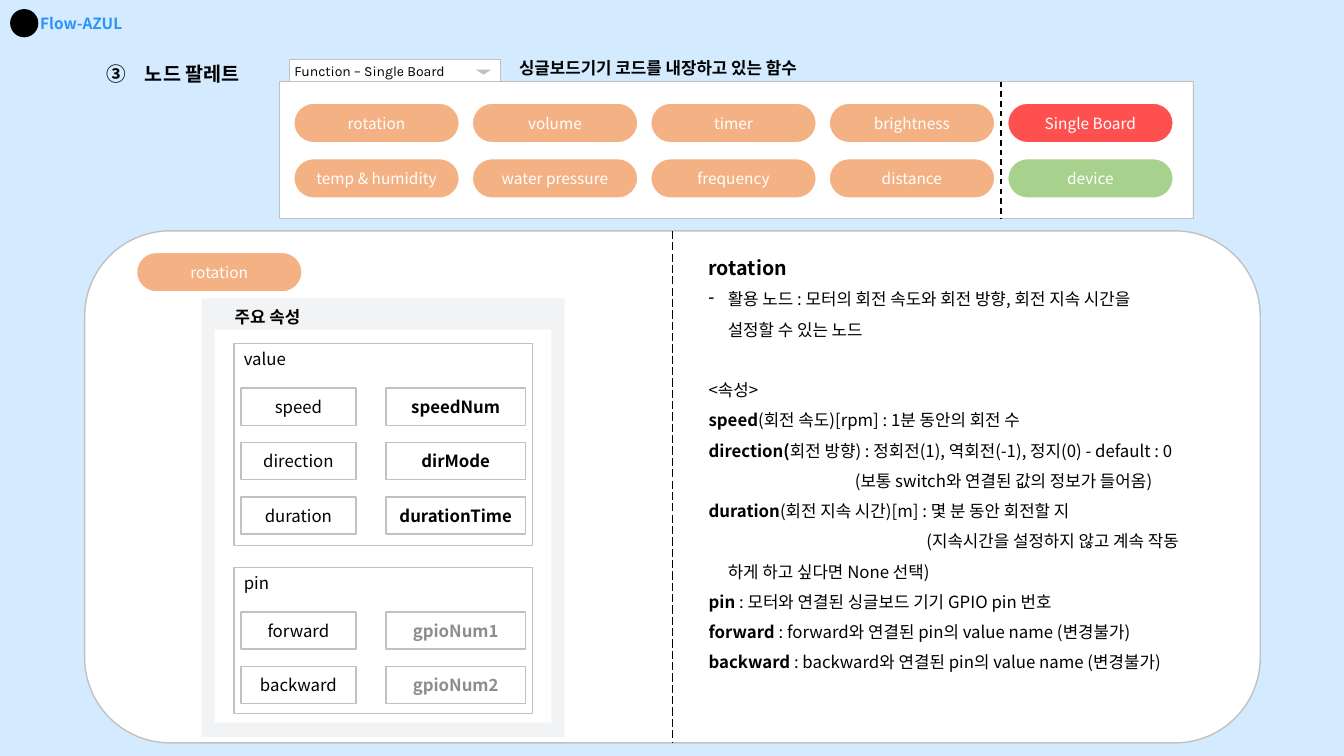
from lxml import etree
from pptx import Presentation
from pptx.dml.color import RGBColor
from pptx.enum.dml import MSO_LINE as Dash
from pptx.enum.shapes import MSO_CONNECTOR as Link, MSO_SHAPE as Kind
from pptx.enum.text import MSO_ANCHOR as Anchor, PP_ALIGN as Align
from pptx.oxml.ns import qn
from pptx.util import Inches, Pt

SKY = RGBColor(0xD4, 0xEA, 0xFE)
BLUE = RGBColor(0x29, 0x94, 0xF8)
BLACK = RGBColor(0, 0, 0)
WHITE = RGBColor(0xFF, 0xFF, 0xFF)
EDGE = RGBColor(0xC1, 0xC1, 0xC1)
ARROW = RGBColor(0xBF, 0xBF, 0xBF)
PALE = RGBColor(0xF1, 0xF3, 0xF4)
GRAY = RGBColor(0x8F, 0x8C, 0x8A)
ORANGE = RGBColor(0xF4, 0xB1, 0x83)
RED = RGBColor(0xFF, 0x50, 0x50)
GREEN = RGBColor(0xA9, 0xD1, 0x8E)
SANS = "Noto Sans CJK KR"

PILLS = [
    ("rotation", "temp & humidity", ORANGE, ORANGE),
    ("volume", "water pressure", ORANGE, ORANGE),
    ("timer", "frequency", ORANGE, ORANGE),
    ("brightness", "distance", ORANGE, ORANGE),
    ("Single Board", "device", RED, GREEN),
]
VALUES = [("speed", "speedNum"), ("direction", "dirMode"),
          ("duration", "durationTime")]
PINS = [("forward", "gpioNum1"), ("backward", "gpioNum2")]

# bold lead, plain text, left margin, first-line indent, space before
NOTES = [
    ("", "활용 노드 : 모터의 회전 속도와 회전 방향, 회전 지속 시간을\v"
         "설정할 수 있는 노드", 0.19, -0.19, 0),
    ("", "<속성>", 0, 0, 21.6),
    ("speed", "(회전 속도)[rpm] : 1분 동안의 회전 수", 0, 0, 0),
    ("direction(", "회전 방향) : 정회전(1), 역회전(-1), 정지(0) - default : 0",
     0, 0, 0),
    ("", "(보통 switch와 연결된 값의 정보가 들어옴)", 1.45, 0, 0),
    ("duration", "(회전 지속 시간)[m] : 몇 분 동안 회전할 지", 0, 0, 0),
    ("", "(지속시간을 설정하지 않고 계속 작동\v하게 하고 싶다면 None 선택)",
     0.19, 1.97, 0),
    ("pin ", ": 모터와 연결된 싱글보드 기기 GPIO pin 번호", 0, 0, 0),
    ("forward ", ": forward와 연결된 pin의 value name (변경불가)", 0, 0, 0),
    ("backward", " : backward와 연결된 pin의 value name (변경불가)", 0, 0, 0),
]


def style(para, size, color=BLACK, bold=False, face=SANS):
    font = para.font
    font.size, font.bold, font.name = Pt(size), bold, face
    font.color.rgb = color
    props = para._p.pPr.find(qn("a:defRPr"))
    etree.SubElement(props, qn("a:ea")).set("typeface", face)


def indent(para, left, first):
    props = para._p.get_or_add_pPr()
    props.set("marL", str(Inches(left)))
    props.set("indent", str(Inches(first)))


def bullet(para, tag, **attrs):
    mark = etree.SubElement(para._p.get_or_add_pPr(), qn(tag))
    for key, val in attrs.items():
        mark.set(key, val)


def shape(slide, kind, box, fill, edge=None, width=1):
    item = slide.shapes.add_shape(kind, *map(Inches, box))
    item.shadow.inherit = False
    item.fill.solid()
    item.fill.fore_color.rgb = fill
    if edge is None:
        item.line.fill.background()
    else:
        item.line.color.rgb = edge
        item.line.width = Pt(width)
    return item


def write(item, text, size, align=Align.CENTER, anchor=Anchor.MIDDLE, **look):
    item.text_frame.vertical_anchor = anchor
    para = item.text_frame.paragraphs[0]
    para.text, para.alignment = text, align
    style(para, size, **look)


def label(slide, box, text, size, color=BLACK):
    """Add a bold one-line text box and return its paragraph."""
    item = slide.shapes.add_textbox(*map(Inches, box))
    write(item, text, size, Align.LEFT, Anchor.TOP, color=color, bold=True)
    return item.text_frame.paragraphs[0]


def rule(slide, x, top, end, width, dash):
    """Draw a vertical dashed line."""
    line = slide.shapes.add_connector(
        Link.STRAIGHT, Inches(x), Inches(top), Inches(x), Inches(end))
    line.line.color.rgb, line.line.width = BLACK, Pt(width)
    line.line.dash_style = dash
    etree.SubElement(line._element.spPr, qn("a:effectLst"))


def pill(slide, x, y, text, fill):
    item = shape(slide, Kind.ROUNDED_RECTANGLE, (x, y, 1.65, 0.4),
                 fill, WHITE, 1.5)
    item.adjustments[0] = 0.5
    write(item, text, 11, color=WHITE)


def header(slide, x, y):
    shape(slide, Kind.OVAL, (x, y, 0.28, 0.28), BLACK)
    label(slide, (x + 0.2, y, 1.3, 0.29), "Flow-AZUL", 11, BLUE)
    box = slide.shapes.add_textbox(
        *map(Inches, (x + 0.86, y + 0.48, 1.7, 0.34)))
    para = box.text_frame.paragraphs[0]
    para.text = "노드 팔레트"
    indent(para, 0.38, -0.38)
    bullet(para, "a:buAutoNum", type="circleNumDbPlain", startAt="3")
    style(para, 14, bold=True)


def palette(slide, x, y, w, h):
    label(slide, (x + 2.28, y - 0.29, 3.3, 0.3),
          "싱글보드기기 코드를 내장하고 있는 함수", 12)
    shape(slide, Kind.RECTANGLE, (x, y, w, h), WHITE, EDGE, 0.25)
    menu = shape(slide, Kind.RECTANGLE, (x + 0.1, y - 0.22, 2.09, 0.22),
                 WHITE, EDGE, 0.25)
    frame = menu.text_frame
    frame.margin_left = frame.margin_right = Inches(0.05)
    frame.margin_top = frame.margin_bottom = Inches(0.05)
    write(menu, "Function – Single Board", 10, Align.LEFT, face="Karla")
    arrow = shape(slide, Kind.ISOSCELES_TRIANGLE,
                  (x + 1.95, y - 0.12, 0.15, 0.05), ARROW)
    arrow.rotation = 180
    for col, (upper, lower, first, second) in enumerate(PILLS):
        left = x + 0.14 + col * 1.77
        pill(slide, left, y + 0.21, upper, first)
        pill(slide, left, y + 0.76, lower, second)
    rule(slide, x + 7.16, y, y + h, 1, Dash.DASH)


def group(slide, x, y, h, title, rows, color):
    """Draw a titled frame with rows of name and value cells."""
    frame = shape(slide, Kind.RECTANGLE, (x, y, 2.96, h), WHITE, EDGE)
    write(frame, title, 12, Align.LEFT, Anchor.TOP)
    for row, (name, value) in enumerate(rows):
        top = y + 0.44 + row * 0.54
        cell = shape(slide, Kind.RECTANGLE, (x + 0.07, top, 1.14, 0.37),
                     WHITE, EDGE)
        write(cell, name, 12)
        cell = shape(slide, Kind.RECTANGLE, (x + 1.51, top, 1.38, 0.37),
                     WHITE, EDGE)
        write(cell, value, 12, color=color, bold=True)


def traits(slide, x, y, w, h):
    shape(slide, Kind.RECTANGLE, (x, y, w, h), PALE)
    shape(slide, Kind.RECTANGLE, (x + 0.13, y + 0.31, w - 0.26, h - 0.45),
          WHITE)
    label(slide, (x + 0.23, y + 0.03, 0.93, 0.33), "주요 속성", 12)
    group(slide, x + 0.32, y + 0.45, 2, "value", VALUES, BLACK)
    group(slide, x + 0.32, y + 2.67, 1.45, "pin", PINS, GRAY)


def notes(slide, x, y, w, h):
    frame = slide.shapes.add_textbox(*map(Inches, (x, y, w, h))).text_frame
    frame.word_wrap = True
    head = frame.paragraphs[0]
    head.text, head.line_spacing = "rotation", 1.5
    style(head, 14, bold=True)
    for lead, text, left, first, gap in NOTES:
        para = frame.add_paragraph()
        para.line_spacing = 1.5
        if gap:
            para.space_before = Pt(gap)
        indent(para, left, first)
        if first < 0:
            bullet(para, "a:buChar", char="-")
        style(para, 12)
        if lead:
            run = para.add_run()
            run.text, run.font.bold = lead, True
        for part, line in enumerate(text.split("\v")):
            if part:
                para.add_line_break()
            para.add_run().text = line


def detail(slide, x, y, w, h):
    shape(slide, Kind.ROUNDED_RECTANGLE, (x, y, w, h), WHITE, EDGE)
    rule(slide, x + w / 2, y, y + h, 0.75, Dash.LONG_DASH)
    pill(slide, x + 0.51, y + 0.21, "rotation", ORANGE)
    traits(slide, x + 1.16, y + 0.67, 3.6, 4.35)
    notes(slide, x + 6.09, y + 0.08, 5.25, 4.66)


def main():
    deck = Presentation()
    deck.slide_width, deck.slide_height = Inches(13.33), Inches(7.5)
    slide = deck.slides.add_slide(deck.slide_layouts[6])
    slide.background.fill.solid()
    slide.background.fill.fore_color.rgb = SKY
    header(slide, 0.1, 0.09)
    palette(slide, 2.77, 0.81, 9.06, 1.36)
    detail(slide, 0.84, 2.29, 11.66, 5.08)
    deck.save("out.pptx")


if __name__ == "__main__":
    main()
